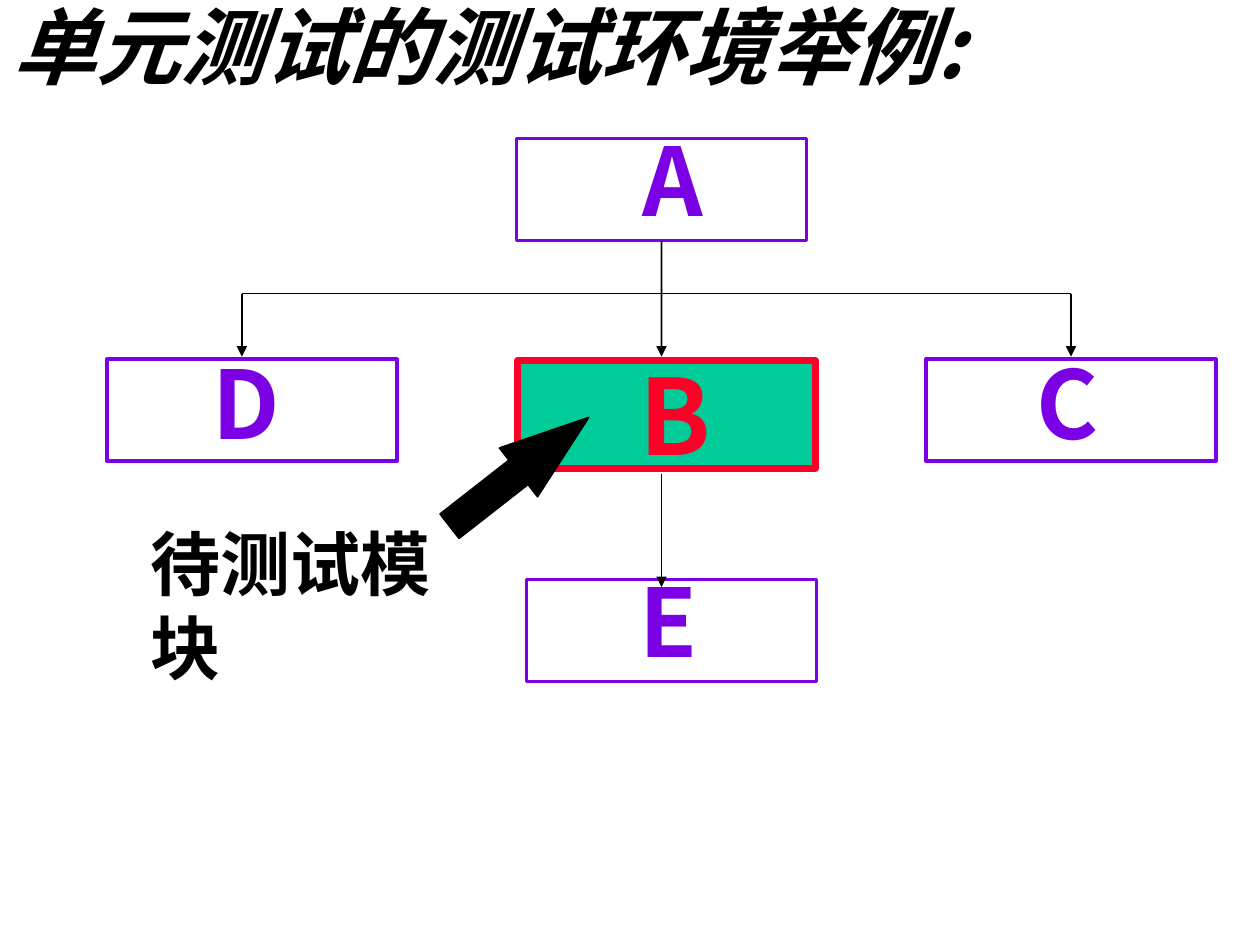
"""Build a slide showing an example test environment for unit testing."""
from dataclasses import dataclass
from typing import Optional

from lxml import etree
from pptx import Presentation
from pptx.dml.color import RGBColor
from pptx.enum import shapes, text
from pptx.oxml.ns import qn
from pptx.util import Inches, Pt


@dataclass(frozen=True)
class Theme:
    font: str = "Noto Sans CJK SC"
    ink: str = "000000"
    module: str = "7B00E4"
    target: str = "FC0128"
    target_fill: str = "00CC99"
    title_size: int = 48
    module_size: int = 54
    target_size: int = 60
    caption_size: int = 40


@dataclass(frozen=True)
class Label:
    words: str
    left: float
    top: float
    width: float
    height: float
    size: int
    color: str
    wrap: bool = False


@dataclass(frozen=True)
class Module:
    left: float
    top: float
    label: Label
    width: float = 2.3
    height: float = 0.81
    line_width: float = 2
    fill: Optional[str] = None


@dataclass(frozen=True)
class Link:
    start: tuple[float, float]
    end: tuple[float, float]
    arrow: bool = True


THEME = Theme()


def module_label(words: str, left: float, top: float, width: float, wrap: bool = False) -> Label:
    """Return a label in the ordinary module style."""
    return Label(words, left, top, width, 1, THEME.module_size, THEME.module, wrap)


MODULES = {
    "B": Module(4.11, 2.86, Label("B", 4.98, 2.73, 1.18, 1.1, THEME.target_size, THEME.target, True),
                2.36, 0.86, 4, THEME.target_fill),
    "A": Module(4.1, 1.1, module_label("A", 5, 0.92, 0.93, True)),
    "C": Module(7.35, 2.85, module_label("C", 8.13, 2.69, 0.68)),
    "D": Module(0.85, 2.85, module_label("D", 1.59, 2.69, 0.75)),
    "E": Module(4.18, 4.6, module_label("E", 4.98, 4.42, 0.62)),
}
TRUNK, LEFT_BRANCH, RIGHT_BRANCH = 5.25, 1.92, 8.5
FORK, ARRIVAL = 2.33, 2.83
CALL_A_B = Link((TRUNK, 1.91), (TRUNK, ARRIVAL))
LINKS = [
    Link((TRUNK, 3.76), (TRUNK, 4.66)),
    Link((LEFT_BRANCH, FORK), (RIGHT_BRANCH, FORK), arrow=False),
    Link((RIGHT_BRANCH, FORK), (RIGHT_BRANCH, ARRIVAL)),
    Link((LEFT_BRANCH, FORK), (LEFT_BRANCH, ARRIVAL)),
]
CAPTION = Label("待测试模块", 1.1, 4.08, 2.97, 0.76, THEME.caption_size, THEME.ink)


def style_paragraph(paragraph, size: int, color: str, italic: bool = False) -> None:
    """Set the bold theme font for Latin and East Asian text."""
    paragraph.alignment = text.PP_ALIGN.LEFT
    font = paragraph.font
    font.size, font.bold, font.italic = Pt(size), True, italic
    font.color.rgb = RGBColor.from_string(color)
    font.name = THEME.font
    defaults = paragraph._p.pPr.find(qn("a:defRPr"))
    etree.SubElement(defaults, qn("a:ea")).set("typeface", THEME.font)


def add_title(slide, words: str) -> None:
    """Fill and place the title placeholder."""
    title = slide.shapes.title
    title.left, title.top, title.width, title.height = map(Inches, (0, 0, 9.92, 0.83))
    frame = title.text_frame
    frame.text = words
    frame.auto_size = text.MSO_AUTO_SIZE.NONE
    frame.vertical_anchor = text.MSO_ANCHOR.TOP
    frame.paragraphs[0].line_spacing = 0.9
    style_paragraph(frame.paragraphs[0], THEME.title_size, THEME.ink, italic=True)


def add_label(slide, label: Label) -> None:
    """Add a text box for a label."""
    box = slide.shapes.add_textbox(*map(Inches, (label.left, label.top, label.width, label.height)))
    frame = box.text_frame
    frame.text = label.words
    frame.word_wrap = label.wrap
    frame.auto_size = text.MSO_AUTO_SIZE.SHAPE_TO_FIT_TEXT
    style_paragraph(frame.paragraphs[0], label.size, label.color)


def add_module(slide, module: Module):
    """Add a module's rectangle and its letter."""
    rectangle = slide.shapes.add_shape(
        shapes.MSO_SHAPE.RECTANGLE,
        *map(Inches, (module.left, module.top, module.width, module.height)))
    rectangle.shadow.inherit = False
    if module.fill:
        rectangle.fill.solid()
        rectangle.fill.fore_color.rgb = RGBColor.from_string(module.fill)
    else:
        rectangle.fill.background()
    rectangle.line.color.rgb = RGBColor.from_string(module.label.color)
    rectangle.line.width = Pt(module.line_width)
    add_label(slide, module.label)
    return rectangle


def add_link(slide, link: Link):
    """Add a straight line, with an arrowhead at its end if wanted."""
    connector = slide.shapes.add_connector(
        shapes.MSO_CONNECTOR.STRAIGHT, *map(Inches, link.start + link.end))
    connector.line.color.rgb = RGBColor.from_string(THEME.ink)
    connector.line.width = Pt(1)
    if link.arrow:
        line = connector.line._get_or_add_ln()
        etree.SubElement(line, qn("a:tailEnd")).set("type", "triangle")
    etree.SubElement(connector._element.spPr, qn("a:effectLst"))
    return connector


def add_pointer(slide) -> None:
    """Add the block arrow pointing at the module under test."""
    pointer = slide.shapes.add_shape(
        shapes.MSO_SHAPE.RIGHT_ARROW, *map(Inches, (3.42, 3.5, 1.4, 0.49)))
    pointer.rotation = 322
    pointer.adjustments[0], pointer.adjustments[1] = 0.5, 1.44
    pointer.shadow.inherit = False
    pointer.fill.solid()
    pointer.fill.fore_color.rgb = RGBColor.from_string(THEME.ink)
    pointer.line.color.rgb = RGBColor.from_string(THEME.ink)
    pointer.line.width = Pt(1)


def main() -> None:
    """Build and save the presentation."""
    deck = Presentation()
    deck.slide_width, deck.slide_height = Inches(10), Inches(7.5)
    slide = deck.slides.add_slide(deck.slide_layouts.get_by_name("Title Only"))
    add_title(slide, "单元测试的测试环境举例:")
    rectangles = {name: add_module(slide, module) for name, module in MODULES.items()}
    add_link(slide, CALL_A_B).begin_connect(rectangles["A"], 2)
    for link in LINKS:
        add_link(slide, link)
    add_pointer(slide)
    add_label(slide, CAPTION)
    deck.save("out.pptx")


if __name__ == "__main__":
    main()
